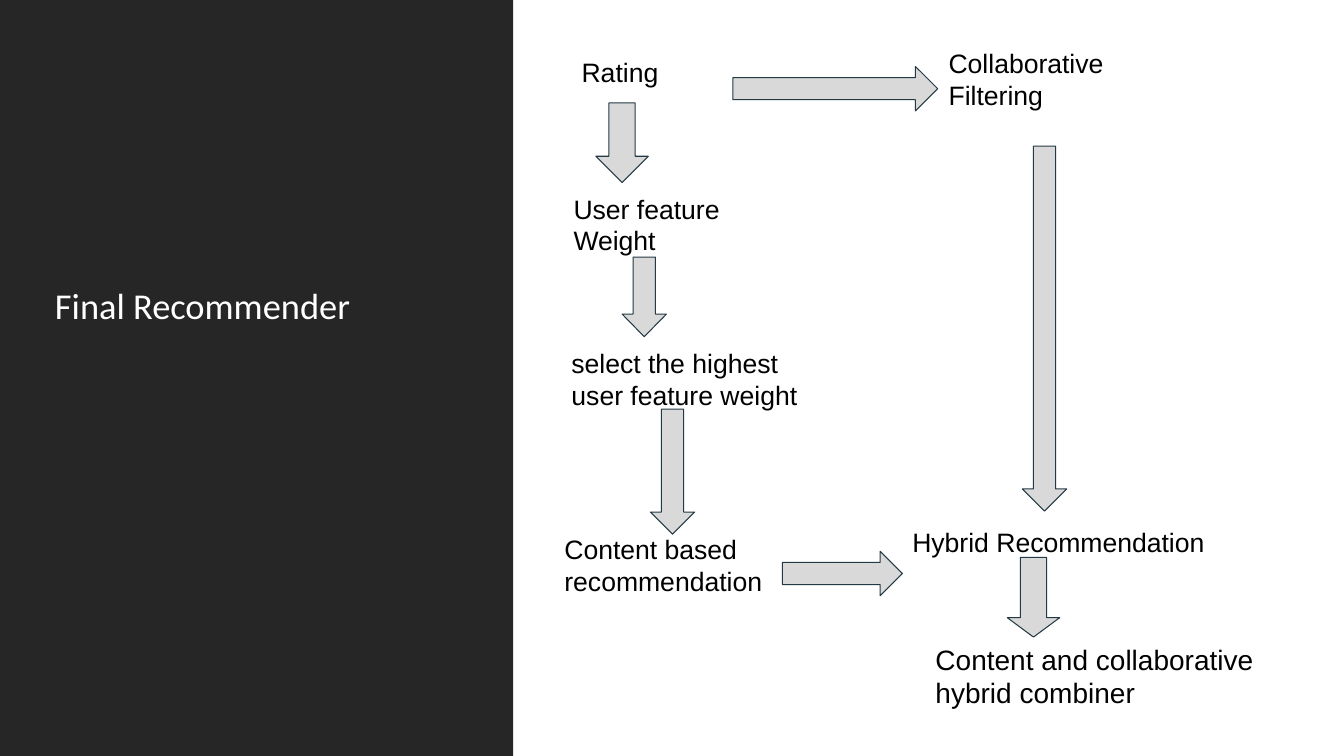
import pptx
import pptx.util
import pptx.dml.color
import pptx.enum.shapes
import pptx.enum.text

WIDE, HIGH = 13.33, 7.5
CELL = 0.1  # grid of square cells, in inches
COLS, ROWS = WIDE / CELL, HIGH / CELL
SIDE = 50.9  # columns taken by the dark panel
HUES = {"panel": "262626", "title": "FFFFFF", "text": "000000",
        "arrow": "D9D9D9", "edge": "233A44"}
KIND = pptx.enum.shapes.MSO_SHAPE

# Steps: text, column, row, columns, rows, size
STEPS = [
    ("Rating", 5.8, 4.5, 13.6, 9.1, 19),
    ("Collaborative Filtering", 42.2, 3.7, 20.3, 9.1, 19),
    ("User feature\nWeight", 5, 18.1, 23.6, 17.4, 19),
    ("select the highest user feature weight", 4.8, 33.4, 25.3, 17.4, 19),
    ("Content based recommendation", 4.1, 51.9, 26.7, 10.9, 19),
    ("Content and collaborative hybrid combiner", 40.9, 62.7, 36.7, 9.1, 20),
    ("Hybrid Recommendation", 38.6, 51.2, 38.5, 7.9, 19),
]

# Arrows: kind, column, row, columns, rows, head length
ARROWS = [
    (KIND.DOWN_ARROW, 8.2, 10.2, 5.2, 7.9, 0.5),
    (KIND.DOWN_ARROW, 10.8, 25.5, 4.4, 7.9, 0.51),
    (KIND.DOWN_ARROW, 13.6, 40.6, 4.4, 12.4, 0.5),
    (KIND.RIGHT_ARROW, 26.7, 54.7, 11.9, 4.4, 0.5),
    (KIND.RIGHT_ARROW, 21.8, 6.6, 20.3, 4.4, 0.5),
    (KIND.DOWN_ARROW, 50.5, 14.5, 4.4, 36.2, 0.5),
    (KIND.DOWN_ARROW, 49, 55.3, 5.2, 7.9, 0.37),
]


def hue(name):
    return pptx.dml.color.RGBColor.from_string(HUES[name])


def grid(*cells):
    return [pptx.util.Inches(n * CELL) for n in cells]


def add_text(slide, text, box, size, font="Arial", color="text",
             pad=(1, 1, 1, 1), line=None, before=None, after=None):
    frame = slide.shapes.add_textbox(*grid(*box)).text_frame
    frame.word_wrap = True
    frame.vertical_anchor = pptx.enum.text.MSO_ANCHOR.TOP
    (frame.margin_left, frame.margin_top,
     frame.margin_right, frame.margin_bottom) = grid(*pad)
    frame.text = text
    for para in frame.paragraphs:
        para.line_spacing = line
        para.space_before, para.space_after = before, after
        style = para.runs[0].font
        style.size = pptx.util.Pt(size)
        style.name = font
        style.color.rgb = hue(color)


def add_form(slide, kind, box, fill, edge=None):
    form = slide.shapes.add_shape(kind, *grid(*box))
    form.shadow.inherit = False
    form.fill.solid()
    form.fill.fore_color.rgb = hue(fill)
    if edge:
        form.line.color.rgb = hue(edge)
        form.line.width = pptx.util.Pt(0.75)
    else:
        form.line.fill.background()
    return form


def add_panel(slide, box):
    left, top, wide, high = box
    add_form(slide, KIND.RECTANGLE, box, "panel")
    add_text(slide, "Final Recommender",
             (left + 3.2, top + 26.7, wide - 12.4, 13.3), 26,
             font="Calibri", color="title", pad=(2.25, 0.5, 1, 0.5),
             line=1.2, before=pptx.util.Pt(12), after=pptx.util.Pt(2))


def add_flow(slide, box):
    left, top = box[:2]
    # Step labels
    for text, col, row, wide, high, size in STEPS:
        add_text(slide, text, (left + col, top + row, wide, high), size)
    # Block arrows
    for kind, col, row, wide, high, head in ARROWS:
        arrow = add_form(slide, kind, (left + col, top + row, wide, high),
                         "arrow", "edge")
        arrow.adjustments[0] = 0.5
        arrow.adjustments[1] = head


def main():
    deck = pptx.Presentation()
    deck.slide_width = pptx.util.Inches(WIDE)
    deck.slide_height = pptx.util.Inches(HIGH)
    slide = deck.slides.add_slide(deck.slide_layouts[6])
    add_panel(slide, (0, 0, SIDE, ROWS))
    add_flow(slide, (SIDE, 0, COLS - SIDE, ROWS))
    deck.save("out.pptx")


if __name__ == "__main__":
    main()
